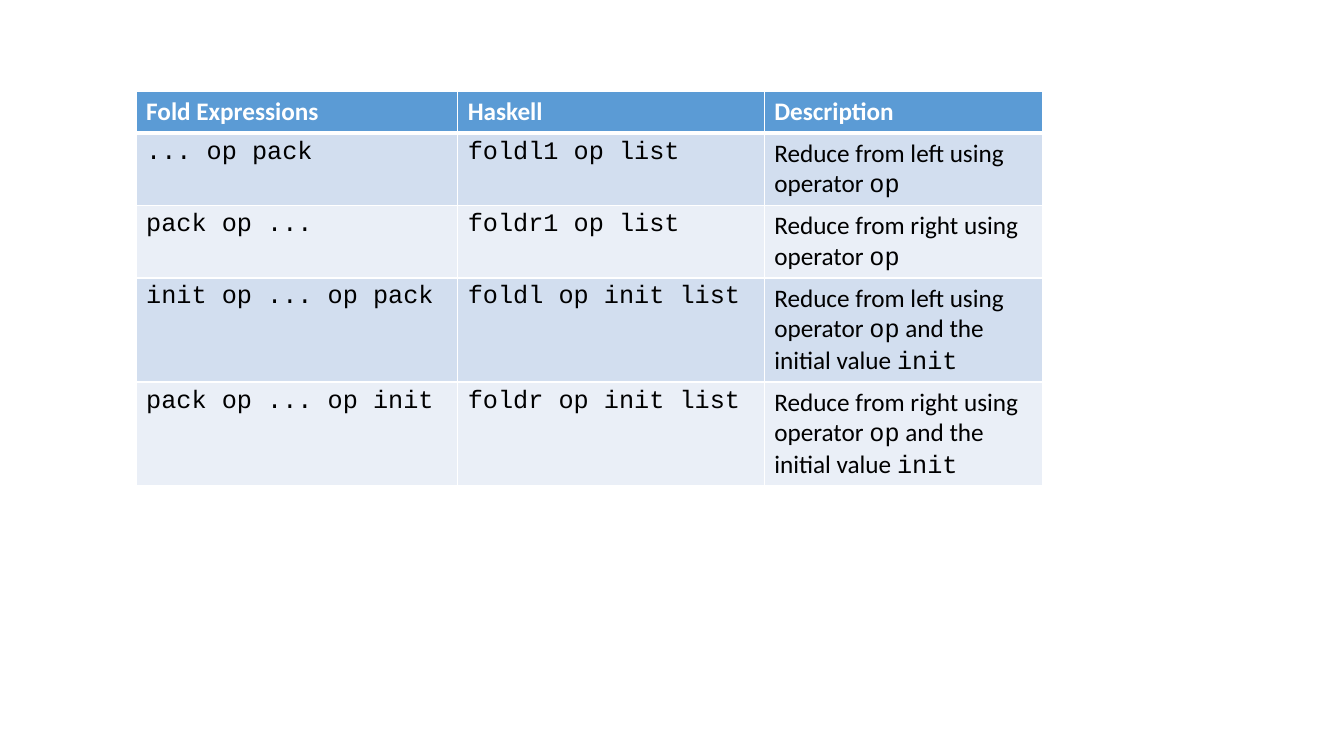
from lxml import etree
from pptx import Presentation
from pptx.dml.color import RGBColor as RGB
from pptx.oxml.ns import qn
from pptx.util import Inches, Pt

COLORS = {"header": "5B9BD5", "odd": "D2DEEF", "even": "EAEFF7",
          "white": "FFFFFF", "text": "000000"}
BODY, CODE = "Calibri", "Courier New"

# Backticks mark code within a cell
ROWS = [
    ("Fold Expressions", "Haskell", "Description"),
    ("`... op pack`", "`foldl1 op list`",
     "Reduce from left using operator `op`"),
    ("`pack op ...`", "`foldr1 op list`",
     "Reduce from right using operator `op`"),
    ("`init op ... op pack`", "`foldl op init list`",
     "Reduce from left using operator `op` and the initial value `init`"),
    ("`pack op ... op init`", "`foldr op init list`",
     "Reduce from right using operator `op` and the initial value `init`"),
]
COL_WIDTHS = (3.19, 3.04, 2.76)
ROW_HEIGHT = 0.41


def set_borders(cell, color, widths):
    """Draw the left, right, top and bottom borders, widths in points."""
    tcPr = cell._tc.get_or_add_tcPr()
    for i, (side, width) in enumerate(zip("LRTB", widths)):
        ln = etree.Element(qn(f"a:ln{side}"), w=str(Pt(width)))
        fill = etree.SubElement(ln, qn("a:solidFill"))
        etree.SubElement(fill, qn("a:srgbClr"), val=color)
        tcPr.insert(i, ln)


def write_cell(cell, text, color, bold):
    p = cell.text_frame.paragraphs[0]
    p.font.size = Pt(18)
    for i, part in enumerate(text.split("`")):
        if part:
            r = p.add_run()
            r.text = part
            r.font.size = Pt(18)
            r.font.name = CODE if i % 2 else BODY
            r.font.bold = bold
            r.font.color.rgb = RGB.from_string(color)


def add_fold_table(s, left, top, width, height):
    table = s.shapes.add_table(len(ROWS), len(COL_WIDTHS), Inches(left),
                               Inches(top), Inches(width), Inches(height)).table
    for column, col_width in zip(table.columns, COL_WIDTHS):
        column.width = Inches(col_width)

    for i, texts in enumerate(ROWS):
        header = i == 0
        fill = COLORS["header" if header else "odd" if i % 2 else "even"]
        color = COLORS["white" if header else "text"]
        # The line below the header is thicker
        widths = (1, 1, 3 if i == 1 else 1, 3 if header else 1)
        table.rows[i].height = Inches(ROW_HEIGHT)
        for j, text in enumerate(texts):
            cell = table.cell(i, j)
            cell.fill.solid()
            cell.fill.fore_color.rgb = RGB.from_string(fill)
            write_cell(cell, text, color, header)
            set_borders(cell, COLORS["white"], widths)


def main():
    prs = Presentation()
    prs.slide_width, prs.slide_height = Inches(13.33), Inches(7.5)
    s = prs.slides.add_slide(prs.slide_layouts[6])
    add_fold_table(s, 1.35, 0.91, sum(COL_WIDTHS), ROW_HEIGHT * len(ROWS))
    prs.save("out.pptx")


if __name__ == "__main__":
    main()
